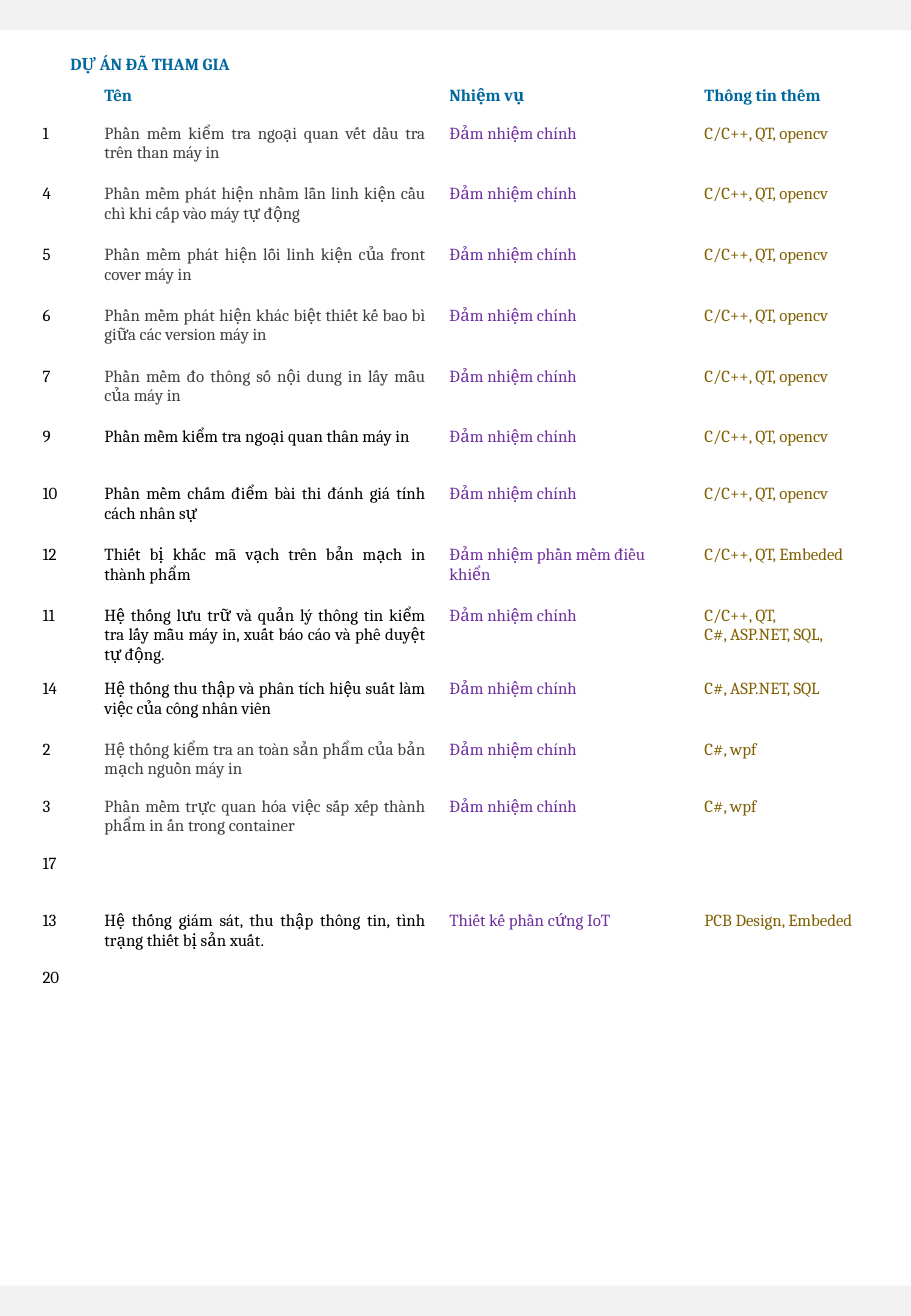
import dataclasses

import lxml.etree
import pptx
import pptx.dml.color
import pptx.enum.shapes
import pptx.enum.text
import pptx.oxml.ns
import pptx.slide
import pptx.text.text
import pptx.util

Inches = pptx.util.Inches
Align = pptx.enum.text.PP_ALIGN

FONT = "Cambria"
TEXT_SIZE = 10
BLUE, BLACK, GRAY = "0068A0", "000000", "404040"
PURPLE, OLIVE, PALE = "7030A0", "806000", "F2F2F2"
PAGE_WIDTH, PAGE_HEIGHT, BAND_HEIGHT = 7.5, 10.83, 0.25
HEADER_HEIGHT, TALL, SHORT = 0.31, 0.5, 0.47
COLUMN_WIDTHS = (0.51, 2.84, 2.1, 1.68)
HEADINGS = ("", "Tên", "Nhiệm vụ", "Thông tin thêm")
NO_STYLE_NO_GRID = "{2D5ABB26-0587-4C30-8999-92F81FD0307C}"
LEAD = "Đảm nhiệm chính"
VISION = "C/C++, QT, opencv"


@dataclasses.dataclass(frozen=True)
class Project:
    number: int
    name: str = ""
    duty: str = LEAD
    tools: str = VISION
    name_color: str = BLACK
    height: float = TALL


PROJECTS = (
    Project(1, "Phần mềm kiểm tra ngoại quan vết dầu tra trên than máy in", name_color=GRAY),
    Project(4, "Phần mềm phát hiện nhầm lẫn linh kiện cầu chì khi cấp vào máy tự động",
            name_color=GRAY),
    Project(5, "Phần mềm phát hiện lỗi linh kiện của front cover máy in", name_color=GRAY),
    Project(6, "Phần mềm phát hiện khác biệt thiết kế bao bì giữa các version máy in",
            name_color=GRAY),
    Project(7, "Phần mềm đo thông số nội dung in lấy mẫu của máy in", name_color=GRAY),
    Project(9, "Phần mềm kiểm tra ngoại quan thân máy in", height=SHORT),
    Project(10, "Phần mềm chấm điểm bài thi đánh giá tính cách nhân sự"),
    Project(12, "Thiết bị khắc mã vạch trên bản mạch in thành phẩm",
            "Đảm nhiệm phần mềm điều khiển", "C/C++, QT, Embeded"),
    Project(11, "Hệ thống lưu trữ và quản lý thông tin kiểm tra lấy mẫu máy in, "
            "xuất báo cáo và phê duyệt tự động.", tools="C/C++, QT,\nC#, ASP.NET, SQL,"),
    Project(14, "Hệ thống thu thập và phân tích hiệu suất làm việc của công nhân viên",
            tools="C#, ASP.NET, SQL"),
    Project(2, "Hệ thống kiểm tra an toàn sản phẩm của bản mạch nguồn máy in",
            tools="C#, wpf", name_color=GRAY, height=SHORT),
    Project(3, "Phần mềm trực quan hóa việc sắp xếp thành phẩm in ấn trong container",
            tools="C#, wpf", name_color=GRAY, height=SHORT),
    Project(17, duty="", tools="", height=SHORT),
    Project(13, "Hệ thống giám sát, thu thập thông tin, tình trạng thiết bị sản xuất.",
            "Thiết kế phần cứng IoT", "PCB Design, Embeded", height=SHORT),
    Project(20, duty="", tools="", height=SHORT),
)


def rgb(color: str) -> pptx.dml.color.RGBColor:
    return pptx.dml.color.RGBColor.from_string(color)


def write(frame: pptx.text.text.TextFrame, text: str, *, color: str = BLACK,
          bold: bool = False, align: Align = Align.LEFT) -> None:
    frame.word_wrap = True
    for index, line in enumerate(text.split("\n")):
        paragraph = frame.add_paragraph() if index else frame.paragraphs[0]
        paragraph.alignment = align
        if not line:
            lxml.etree.SubElement(paragraph._p, pptx.oxml.ns.qn("a:endParaRPr"),
                                  sz=str(TEXT_SIZE * 100))
            continue
        run = paragraph.add_run()
        run.text = line
        run.font.name = FONT
        run.font.size = pptx.util.Pt(TEXT_SIZE)
        run.font.bold = bold
        run.font.color.rgb = rgb(color)


def add_band(slide: pptx.slide.Slide, top: float) -> None:
    band = slide.shapes.add_shape(
        pptx.enum.shapes.MSO_SHAPE.RECTANGLE,
        0, Inches(top), Inches(PAGE_WIDTH), Inches(BAND_HEIGHT))
    band.shadow.inherit = False
    band.fill.solid()
    band.fill.fore_color.rgb = rgb(PALE)
    band.line.fill.background()


def add_title(slide: pptx.slide.Slide, text: str) -> None:
    title = slide.shapes.title
    title.left, title.top = Inches(0.48), Inches(0.39)
    title.width, title.height = Inches(6.89), Inches(0.27)
    frame = title.text_frame
    frame.vertical_anchor = pptx.enum.text.MSO_ANCHOR.TOP
    frame.auto_size = pptx.enum.text.MSO_AUTO_SIZE.SHAPE_TO_FIT_TEXT
    write(frame, text, color=BLUE, bold=True)


def add_projects(slide: pptx.slide.Slide) -> None:
    heights = (HEADER_HEIGHT, *(project.height for project in PROJECTS))
    table_frame = slide.shapes.add_table(
        len(heights), len(COLUMN_WIDTHS), Inches(0.25), Inches(0.66),
        Inches(sum(COLUMN_WIDTHS)), Inches(sum(heights)))
    projects = table_frame.table
    projects.first_row = projects.horz_banding = False
    style = projects._tbl.tblPr.find(pptx.oxml.ns.qn("a:tableStyleId"))
    style.text = NO_STYLE_NO_GRID
    for column, width in zip(projects.columns, COLUMN_WIDTHS):
        column.width = Inches(width)
    for row, height in zip(projects.rows, heights):
        row.height = Inches(height)
        for cell in row.cells:
            cell.fill.background()
    for column, heading in enumerate(HEADINGS):
        write(projects.cell(0, column).text_frame, heading, color=BLUE, bold=True)
    for row, project in enumerate(PROJECTS, start=1):
        number, name, duty, tools = (cell.text_frame for cell in projects.rows[row].cells)
        write(number, str(project.number))
        write(name, project.name, color=project.name_color, align=Align.JUSTIFY)
        write(duty, project.duty, color=PURPLE)
        write(tools, project.tools, color=OLIVE)


def main() -> None:
    presentation = pptx.Presentation()
    presentation.slide_width = Inches(PAGE_WIDTH)
    presentation.slide_height = Inches(PAGE_HEIGHT)
    slide = presentation.slides.add_slide(presentation.slide_layouts.get_by_name("Title Only"))
    for top in (0, PAGE_HEIGHT - BAND_HEIGHT):
        add_band(slide, top)
    add_title(slide, "DỰ ÁN ĐÃ THAM GIA")
    add_projects(slide)
    presentation.save("out.pptx")


main()
